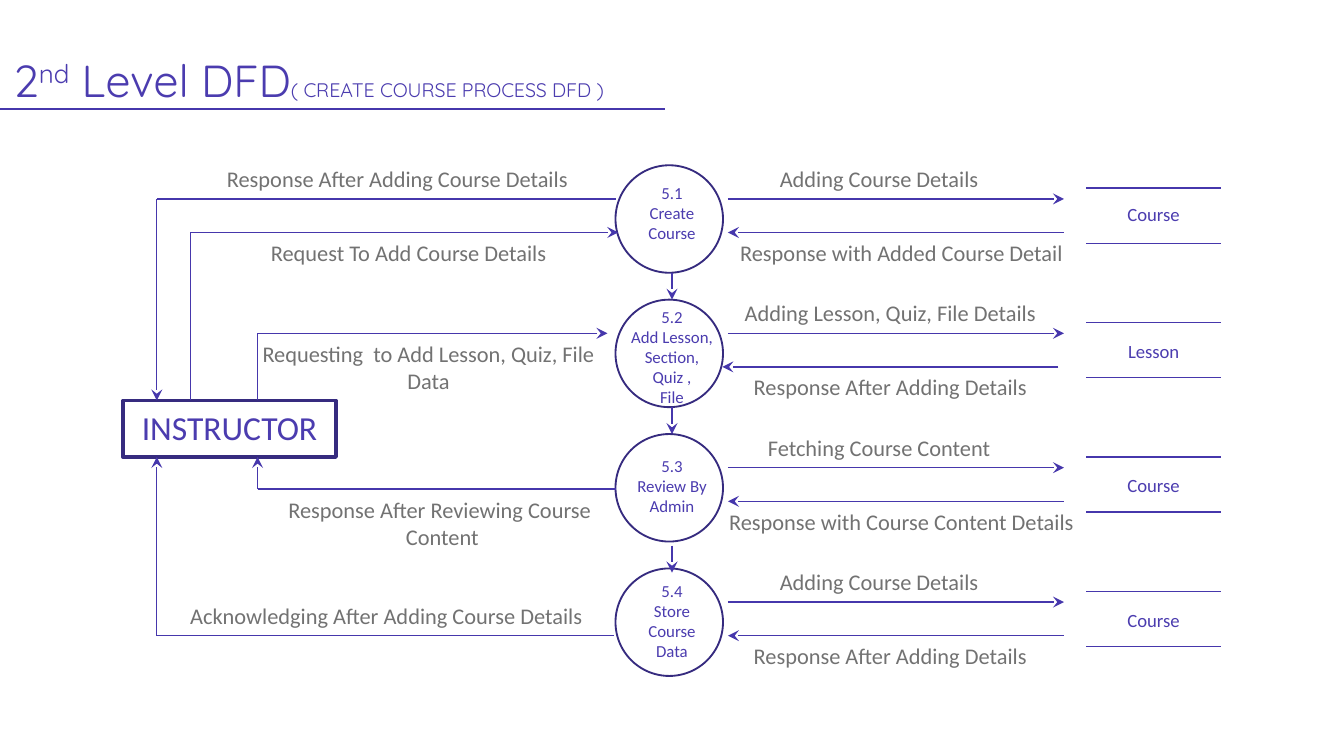
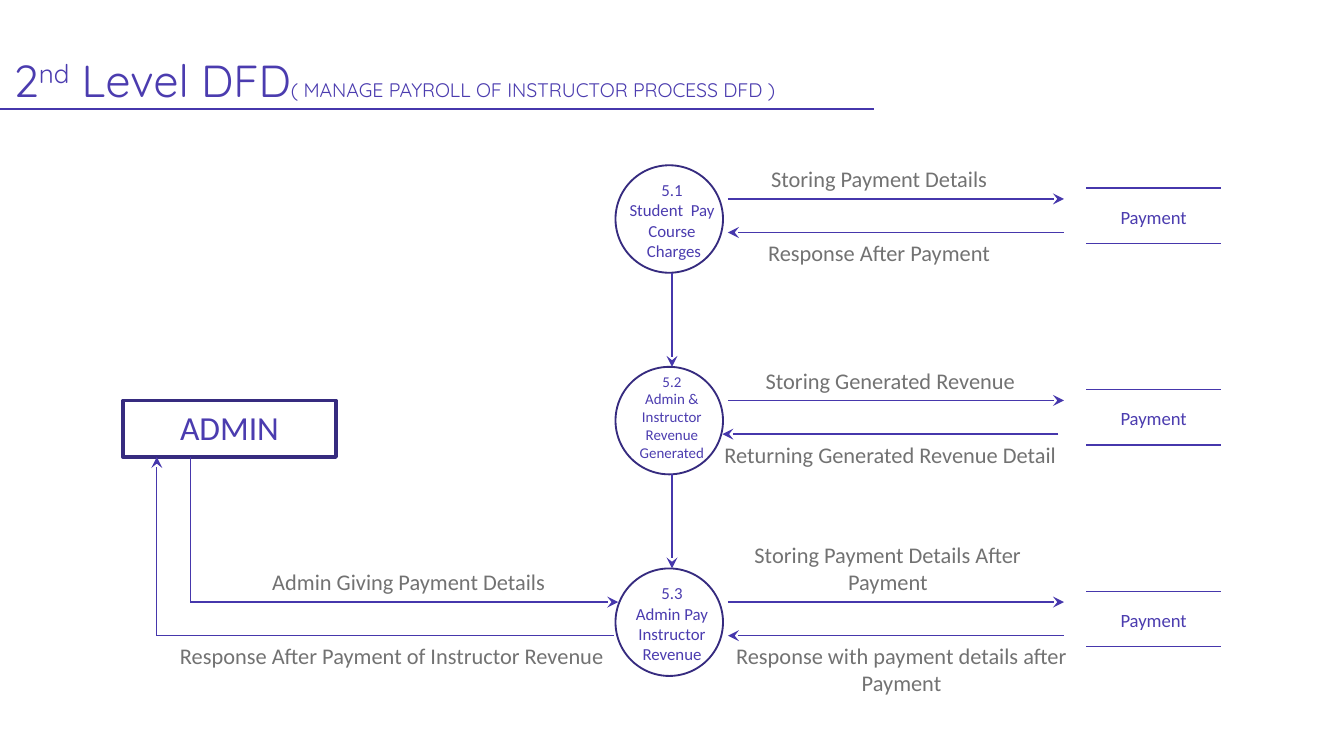
"""Build two second-level data flow diagrams of a course platform."""
from dataclasses import dataclass
from itertools import pairwise

from lxml.etree import SubElement
from pptx import Presentation
from pptx.dml.color import RGBColor
from pptx.enum.shapes import MSO_CONNECTOR as Connector, MSO_SHAPE as Shape
from pptx.enum.text import MSO_ANCHOR as Anchor, MSO_AUTO_SIZE as AutoSize, PP_ALIGN as Align
from pptx.oxml.ns import qn
from pptx.util import Inches, Pt


@dataclass(frozen=True)
class Theme:
    """Colours, fonts and type sizes of both slides."""
    text: RGBColor = RGBColor.from_string("4B3CAF")
    line: RGBColor = RGBColor.from_string("4637AC")
    outline: RGBColor = RGBColor.from_string("362B7F")
    label: RGBColor = RGBColor.from_string("727272")
    title_font: str = "Quicksand"
    body_font: str = "Calibri"
    title_size: float = 24
    subtitle_size: float = 10.5
    actor_size: float = 18
    label_size: float = 12
    store_size: float = 10


@dataclass(frozen=True)
class Process:
    """A numbered process with its data store and the two flows between them."""
    name: str
    name_offset: float
    store: str
    request: str
    request_column: int
    response: str
    response_column: int
    back_column: float = 65
    size: float = 9
    store_offset: float = 0.25
    link_offset: float = 0


@dataclass(frozen=True)
class ActorFlow:
    """A bent flow between the actor and one process."""
    row: int
    offset: float
    lane: int
    process_x: float
    to_actor: bool
    label: str
    label_column: float
    label_columns: float
    above: bool


THEME = Theme()
COLUMN = 1 / 12
FIRST_TOP = 1.23
CIRCLE = 0.8
CIRCLE_LEFT = 4.58
LINK_X = 5
OUT, BACK = 0.25, 0.5
ACTOR_TOP, ACTOR_HEIGHT = 2.98, 0.42
LINE_HEIGHTS = {1: 0.3, 2: 0.5}

SLIDES = [
    {
        "subtitle": "( CREATE COURSE PROCESS DFD )",
        "title_width": 6.41,
        "rule": (-0.25, 4.95),
        "actor": "INSTRUCTOR",
        "pitch": 1,
        "processes": [
            Process("5.1\nCreate\nCourse", 0.08, "Course", "Adding Course Details", 60,
                    "Response with Added Course Detail", 62, store_offset=0.23),
            Process("5.2\nAdd Lesson, Section,\nQuiz ,\nFile", 0, "Lesson",
                    "Adding Lesson, Quiz, File Details", 61,
                    "Response After Adding Details", 61, back_column=64.5),
            Process("5.3\nReview By Admin", 0.11, "Course", "Fetching Course Content", 60,
                    "Response with Course Content Details", 62, link_offset=0.03),
            Process("5.4\nStore\nCourse\nData", 0.04, "Course", "Adding Course Details", 60,
                    "Response After Adding Details", 61),
        ],
        "flows": [
            ActorFlow(0, OUT, 14, 4.58, True, "Response After Adding Course Details", 17, 37, True),
            ActorFlow(0, BACK, 17, 4.6, False, "Request To Add Course Details", 18, 37, False),
            ActorFlow(1, OUT, 23, 4.52, False,
                      "Requesting  to Add Lesson, Quiz, File \nData ", 20, 37, False),
            ActorFlow(2, 0.41, 23, 4.58, True,
                      "Response After Reviewing Course \nContent", 18, 43, False),
            ActorFlow(3, BACK, 14, 4.57, True,
                      "Acknowledging After Adding Course Details", 15, 39, True),
        ],
    },
    {
        "subtitle": "( MANAGE PAYROLL OF INSTRUCTOR PROCESS DFD )",
        "title_width": 6.75,
        "rule": (0, 6.5),
        "actor": "ADMIN",
        "pitch": 1.5,
        "processes": [
            Process("5.1\nStudent  Pay Course\n Charges", 0.06, "Payment",
                    "Storing Payment Details", 60, "Response After Payment", 60),
            Process("5.2\nAdmin & Instructor\nRevenue\nGenerated", -0.01, "Payment",
                    "Storing Generated Revenue", 61,
                    "Returning Generated Revenue Detail", 61, back_column=64.5, size=8),
            Process("5.3\nAdmin Pay Instructor Revenue", 0.06, "Payment",
                    "Storing Payment Details After \nPayment ", 61,
                    "Response with payment details after Payment", 62),
        ],
        "flows": [
            ActorFlow(2, OUT, 17, 4.6, False, "Admin Giving Payment Details", 18, 37, True),
            ActorFlow(2, BACK, 14, 4.57, True,
                      "Response After Payment of Instructor Revenue", 14, 42, False),
        ],
    },
]


def write(frame, text, size, color):
    """Fill a text frame with centred paragraphs, one per line of text."""
    frame.word_wrap = True
    frame.vertical_anchor = Anchor.TOP
    frame.text = text
    for paragraph in frame.paragraphs:
        paragraph.alignment = Align.CENTER
        paragraph.font.name = THEME.body_font
        paragraph.font.size = Pt(size)
        paragraph.font.color.rgb = color


def add_text(slide, left, top, width, height, text, size, color=THEME.text):
    """Add a centred text box that grows with its text."""
    box = slide.shapes.add_textbox(Inches(left), Inches(top), Inches(width), Inches(height))
    write(box.text_frame, text, size, color)
    box.text_frame.auto_size = AutoSize.SHAPE_TO_FIT_TEXT


def add_label(slide, column, columns, y, text, above):
    """Place a flow label directly above or below the line at y."""
    height = LINE_HEIGHTS[len(text.split("\n"))]
    top = y - height if above else y
    add_text(slide, column * COLUMN, top, columns * COLUMN, height, text,
             THEME.label_size, THEME.label)


def add_path(slide, *points, arrow=True):
    """Join points with straight connectors, with an arrowhead at the last."""
    for start, end in pairwise(points):
        connector = slide.shapes.add_connector(
            Connector.STRAIGHT, *(Inches(value) for value in (*start, *end)))
        connector.line.color.rgb = THEME.line
        connector.line.width = Pt(0.75)
        if arrow and end == points[-1]:
            SubElement(connector.line._get_or_add_ln(), qn("a:tailEnd"), type="stealth")
        SubElement(connector._element.spPr, qn("a:effectLst"))


def add_outline(slide, kind, left, top, width, height, weight):
    """Add an unfilled shape with a dark outline."""
    shape = slide.shapes.add_shape(
        kind, Inches(left), Inches(top), Inches(width), Inches(height))
    shape.shadow.inherit = False
    shape.fill.background()
    shape.line.color.rgb = THEME.outline
    shape.line.width = Pt(weight)
    return shape


def add_title(slide, subtitle, width, rule):
    """Format the title placeholder and underline it."""
    title = slide.shapes.title
    title.left, title.top = 0, Inches(0.31)
    title.width, title.height = Inches(width), Inches(0.58)
    frame = title.text_frame
    frame.word_wrap = True
    frame.auto_size = AutoSize.NONE
    frame.vertical_anchor = Anchor.BOTTOM
    frame.margin_left = frame.margin_right = frame.margin_top = frame.margin_bottom = Inches(0.1)
    paragraph = frame.paragraphs[0]
    paragraph.alignment = Align.LEFT
    parts = [("2", THEME.title_size, 0), ("nd", THEME.title_size, 30000),
             (" Level DFD", THEME.title_size, 0), (subtitle, THEME.subtitle_size, 0)]
    for text, size, baseline in parts:
        run = paragraph.add_run()
        run.text = text
        run.font.name = THEME.title_font
        run.font.size = Pt(size)
        run.font.color.rgb = THEME.text
        run._r.get_or_add_rPr().set("baseline", str(baseline))
    add_path(slide, *((x, 0.81) for x in rule), arrow=False)


def add_process(slide, process, top):
    """Draw one process, its data store and the flows between them."""
    add_outline(slide, Shape.OVAL, CIRCLE_LEFT, top, CIRCLE, CIRCLE, 1)
    add_text(slide, 4.5, top + process.name_offset, 1, CIRCLE, process.name, process.size)
    store_left, store_right = 97 * COLUMN, 109 * COLUMN
    for y in (top + 0.17, top + 0.58):
        add_path(slide, (store_left, y), (store_right, y), arrow=False)
    add_text(slide, store_left, top + process.store_offset, 1, 0.27,
             process.store, THEME.store_size)
    out_y, back_y = top + OUT, top + BACK
    back_x = process.back_column * COLUMN
    add_path(slide, (65 * COLUMN, out_y), (95 * COLUMN, out_y))
    add_path(slide, (back_x + 2.5, back_y), (back_x, back_y))
    add_label(slide, process.request_column, 37, out_y, process.request, True)
    add_label(slide, process.response_column, 37, back_y, process.response, False)


def add_actor_flow(slide, flow, top):
    """Draw a bent flow along its lane, with its label."""
    y = top + flow.offset
    lane = flow.lane * COLUMN
    edge = ACTOR_TOP if y < ACTOR_TOP else ACTOR_TOP + ACTOR_HEIGHT
    points = [(lane, edge), (lane, y), (flow.process_x, y)]
    add_path(slide, *(reversed(points) if flow.to_actor else points))
    add_label(slide, flow.label_column, flow.label_columns, y, flow.label, flow.above)


def add_diagram(presentation, content):
    """Add one data flow diagram slide."""
    slide = presentation.slides.add_slide(presentation.slide_layouts[5])
    add_title(slide, content["subtitle"], content["title_width"], content["rule"])
    actor = add_outline(slide, Shape.RECTANGLE, 11 * COLUMN, ACTOR_TOP,
                        19 * COLUMN, ACTOR_HEIGHT, 2)
    write(actor.text_frame, content["actor"], THEME.actor_size, THEME.text)
    processes = content["processes"]
    tops = [FIRST_TOP + row * content["pitch"] for row in range(len(processes))]
    for process, top in zip(processes, tops):
        add_process(slide, process, top)
    for process, (top, next_top) in zip(processes, pairwise(tops)):
        shift = process.link_offset
        add_path(slide, (LINK_X, top + CIRCLE + shift), (LINK_X, next_top + shift))
    for flow in content["flows"]:
        add_actor_flow(slide, flow, tops[flow.row])


def main():
    """Build and save the presentation."""
    presentation = Presentation()
    presentation.slide_width = Inches(10)
    presentation.slide_height = presentation.slide_width * 9 // 16
    for content in SLIDES:
        add_diagram(presentation, content)
    presentation.save("out.pptx")


if __name__ == "__main__":
    main()
